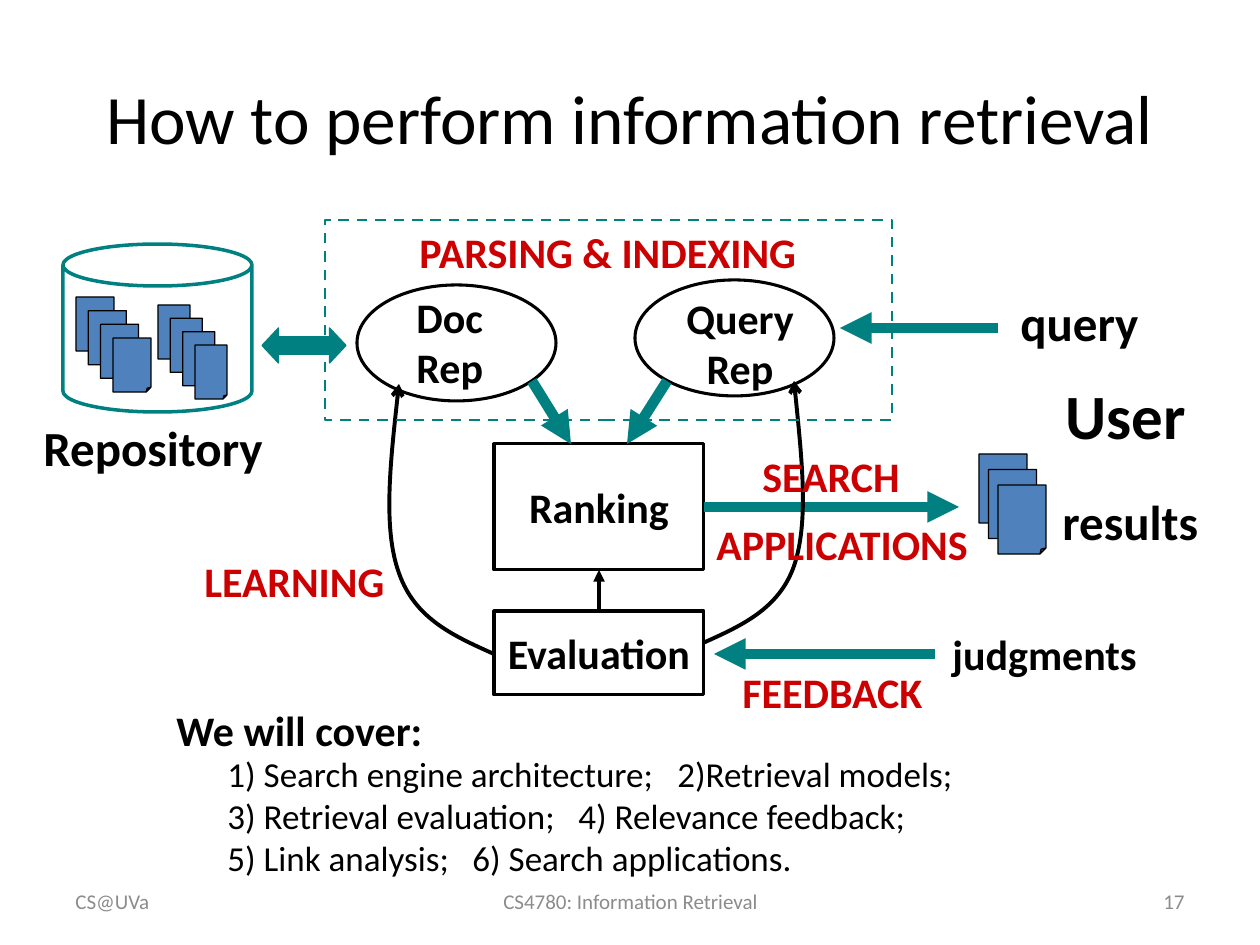
"""Build a slide that maps the parts of an information retrieval system."""
from lxml import etree
from pptx import Presentation
from pptx.dml.color import RGBColor
from pptx.enum.dml import MSO_LINE_DASH_STYLE as Dash
from pptx.enum.shapes import MSO_CONNECTOR, MSO_SHAPE as Shape
from pptx.enum.text import MSO_ANCHOR as Anchor, PP_ALIGN as Align
from pptx.oxml.ns import qn
from pptx.util import Pt

PX = 914400 / 126
FONT = "Calibri"
COLORS = {"ink": "000000", "teal": "008080", "red": "CC0000",
          "page": "4F81BD", "muted": "8C8C8C"}

TITLE = ("How to perform information retrieval", (63, 38, 1134, 158))
FOOTERS = [
    ("CS@UVa", (63, 876, 294, 50), Align.LEFT),
    ("CS4780: Information Retrieval", (431, 876, 399, 50), Align.CENTER),
    ("17", (903, 876, 294, 50), Align.RIGHT),
]
LABELS = [
    (["User"], (1053, 370, 197, 88), 36, "ink", Align.LEFT),
    (["query"], (1008, 286, 154, 72), 28, "ink", Align.LEFT),
    (["Repository"], (31, 411, 256, 72), 28, "ink", Align.LEFT),
    (["results"], (1050, 485, 164, 72), 28, "ink", Align.LEFT),
    (["Query", "Rep"], (673, 286, 134, 115), 24, "ink", Align.CENTER),
    (["Doc", "Rep"], (404, 285, 93, 115), 24, "ink", Align.LEFT),
    (["judgments"], (940, 622, 214, 63), 24, "ink", Align.LEFT),
    (["PARSING & INDEXING"], (407, 220, 411, 63), 24, "red", Align.LEFT),
    (["SEARCH"], (750, 444, 164, 63), 24, "red", Align.LEFT),
    (["LEARNING"], (192, 549, 207, 63), 24, "red", Align.LEFT),
    (["APPLICATIONS"], (704, 512, 282, 63), 24, "red", Align.LEFT),
    (["We will cover:"], (164, 698, 436, 63), 24, "ink", Align.LEFT),
    (["FEEDBACK"], (730, 660, 208, 63), 24, "red", Align.LEFT),
]
WRAPPED_LABELS = ("User", "query", "We will cover:")
TOPICS_BOX = (215, 746, 840, 140)
TOPICS = [
    ("1) Search engine architecture;", "2)Retrieval models;", 450),
    ("3) Retrieval evaluation;", "4) Relevance feedback;", 351),
    ("5) Link analysis;", "6) Search applications.", 245),
]
REPOSITORY = (63, 244, 189, 168)
PAGE_STACKS = [
    {"first": (76, 297), "last": (113, 338), "size": (38, 54), "count": 4},
    {"first": (158, 305), "last": (195, 345), "size": (32, 54), "count": 4},
    {"first": (979, 454), "last": (998, 485), "size": (48, 69), "count": 3},
]
REP_OVALS = [(635, 280, 199, 116), (357, 285, 199, 116)]
EXCHANGE = (262, 328, 84, 35)
INDEXING_FRAME = (325, 220, 567, 200)
STEPS = {"Ranking": (494, 444, 210, 126), "Evaluation": (494, 611, 210, 84)}
FLOWS = [
    ((998, 328), (840, 328)),
    ((667, 381), (627, 444)),
    ((532, 381), (571, 444)),
    ((935, 654), (714, 654)),
]
RESULTS_FLOW = ((704, 507), (959, 507))
EVALUATION_FLOW = ((599, 611), (599, 570))
LEARNING_CURVES = [
    [(494, 654), (454, 636), (415, 619), (399, 573), (383, 529), (391, 456), (399, 384)],
    [(703, 643), (741, 626), (779, 609), (794, 566), (809, 522), (801, 451), (794, 381)],
]


def emu(values):
    return [round(value * PX) for value in values]


def rgb(name):
    return RGBColor.from_string(COLORS[name])


def style_font(paragraph, size, color, bold=False):
    font = paragraph.font
    font.name, font.size, font.bold = FONT, Pt(size), bold
    font.color.rgb = rgb(color)


def add_text(slide, lines, box, size, color="ink", align=Align.LEFT,
             bold=False, anchor=Anchor.TOP, wrap=True):
    frame = slide.shapes.add_textbox(*emu(box)).text_frame
    frame.word_wrap, frame.vertical_anchor = wrap, anchor
    frame.text = "\n".join(lines)
    for paragraph in frame.paragraphs:
        paragraph.alignment = align
        style_font(paragraph, size, color, bold)


def add_topics(slide):
    frame = slide.shapes.add_textbox(*emu(TOPICS_BOX)).text_frame
    frame.word_wrap = True
    frame.text = "\n".join(f"{left}\t{right}" for left, right, _ in TOPICS)
    for paragraph, (_, _, gap) in zip(frame.paragraphs, TOPICS):
        properties = paragraph._p.get_or_add_pPr()
        tabs = etree.SubElement(properties, qn("a:tabLst"))
        etree.SubElement(tabs, qn("a:tab"), pos=str(round(gap * PX)), algn="l")
        style_font(paragraph, 20, "ink")


def set_line(shape, color, width):
    shape.line.color.rgb = rgb(color)
    shape.line.width = Pt(width)


def add_outline(slide, preset, box, color, width, fill=None):
    shape = slide.shapes.add_shape(preset, *emu(box))
    shape.shadow.inherit = False
    if fill:
        shape.fill.solid()
        shape.fill.fore_color.rgb = rgb(fill)
    else:
        shape.fill.background()
    set_line(shape, color, width)
    return shape


def add_step(slide, name):
    step = add_outline(slide, Shape.RECTANGLE, STEPS[name], "ink", 1.75)
    frame = step.text_frame
    frame.word_wrap, frame.vertical_anchor = False, Anchor.MIDDLE
    frame.text = name
    frame.paragraphs[0].alignment = Align.CENTER
    style_font(frame.paragraphs[0], 24, "ink", True)
    return step


def add_pages(slide, stack):
    for index in range(stack["count"]):
        share = index / (stack["count"] - 1)
        corner = [a + (b - a) * share for a, b in zip(stack["first"], stack["last"])]
        page = add_outline(slide, Shape.FOLDED_CORNER, (*corner, *stack["size"]),
                           "ink", 0.75, "page")
        fold = next(page._element.iter(qn("a:avLst")))
        etree.SubElement(fold, qn("a:gd"), name="adj", fmla="val 12500")


def add_arrowhead(shape, kind):
    etree.SubElement(shape.line._get_or_add_ln(), qn("a:tailEnd"), type=kind)


def add_flow(slide, ends, color="teal", width=6):
    start, end = ends
    flow = slide.shapes.add_connector(MSO_CONNECTOR.STRAIGHT, *emu((*start, *end)))
    set_line(flow, color, width)
    add_arrowhead(flow, "triangle")
    etree.SubElement(flow._element.spPr, qn("a:effectLst"))
    return flow


def add_curve(slide, points):
    builder = slide.shapes.build_freeform(*points[0], scale=PX)
    builder.add_line_segments(points[1:], close=False)
    curve = builder.convert_to_shape()
    segments = list(curve._element.iter(qn("a:lnTo")))
    for start in range(0, len(segments), 3):
        bezier = etree.Element(qn("a:cubicBezTo"))
        segments[start].addprevious(bezier)
        for segment in segments[start:start + 3]:
            bezier.append(segment[0])
            segment.getparent().remove(segment)
    curve.shadow.inherit = False
    curve.fill.background()
    set_line(curve, "ink", 2.25)
    add_arrowhead(curve, "arrow")


def main():
    deck = Presentation()
    deck.slide_width, deck.slide_height = emu((1260, 945))
    slide = deck.slides.add_slide(deck.slide_layouts[6])

    title, title_box = TITLE
    add_text(slide, [title], title_box, 39.6, align=Align.CENTER, anchor=Anchor.MIDDLE)
    add_outline(slide, Shape.CAN, REPOSITORY, "teal", 2).adjustments[0] = 0.25
    for stack in PAGE_STACKS:
        add_pages(slide, stack)
    for oval in REP_OVALS:
        add_outline(slide, Shape.OVAL, oval, "ink", 1.75)
    exchange = add_outline(slide, Shape.LEFT_RIGHT_ARROW, EXCHANGE, "teal", 0.75, "teal")
    exchange.adjustments[0], exchange.adjustments[1] = 0.5, 0.47

    steps = {name: add_step(slide, name) for name in STEPS}
    for ends in FLOWS:
        add_flow(slide, ends)
    add_flow(slide, RESULTS_FLOW).begin_connect(steps["Ranking"], 3)
    for curve in LEARNING_CURVES:
        add_curve(slide, curve)
    upward = add_flow(slide, EVALUATION_FLOW, "ink", 2.25)
    upward.begin_connect(steps["Evaluation"], 0)
    upward.end_connect(steps["Ranking"], 2)
    frame = add_outline(slide, Shape.RECTANGLE, INDEXING_FRAME, "teal", 1.5)
    frame.line.dash_style = Dash.DASH

    for lines, box, size, color, align in LABELS:
        add_text(slide, lines, box, size, color, align, True, wrap=lines[0] in WRAPPED_LABELS)
    add_topics(slide)
    for text, box, align in FOOTERS:
        add_text(slide, [text], box, 12, "muted", align, anchor=Anchor.MIDDLE)
    deck.save("out.pptx")


if __name__ == "__main__":
    main()
